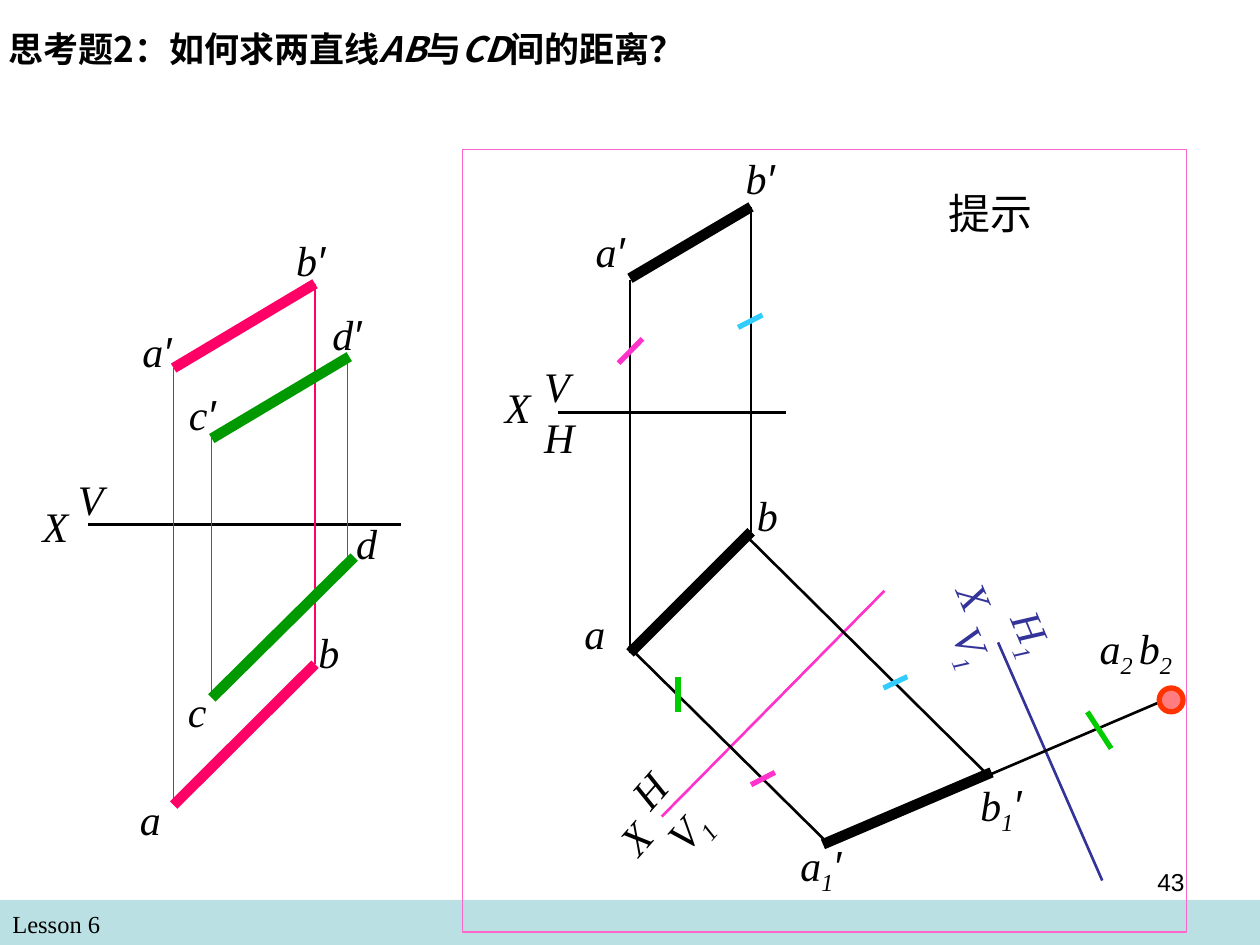
import itertools

import lxml.etree
import pptx
import pptx.dml.color
import pptx.enum.shapes
import pptx.enum.text
import pptx.oxml.ns
import pptx.util

Cm = pptx.util.Cm
Pt = pptx.util.Pt
qn = pptx.oxml.ns.qn
SHAPE = pptx.enum.shapes.MSO_SHAPE

COLORS = {
    "black": "000000", "band": "BBE0E3", "red": "FF0066", "green": "009900",
    "navy": "333399", "magenta": "FF33CC", "cyan": "33CCFF", "lime": "00CC00",
    "frame": "FF66CC", "dot": "FF7C80", "dot_edge": "FF3300",
}
SERIF, SANS, CJK = "Times New Roman", "Arial", "Noto Sans CJK SC"
THIN, MEDIUM, TICK, THICK = 0.75, 1.5, 3, 6


def rgb(name):
    return pptx.dml.color.RGBColor.from_string(COLORS[name])


def glyph_kind(ch):
    """Tell subscripts and primes from letters in a point label."""
    return "sub" if ch in "12 " else "prime" if ch == "′" else "letter"


class Drawing:
    """Holds the slide and the shape tree that elements are added to; lengths in cm."""

    def __init__(self, slide):
        self.slide = slide
        self.shapes = slide.shapes

    def start_group(self):
        self.shapes = self.slide.shapes.add_group_shape().shapes

    def end_group(self):
        self.shapes = self.slide.shapes

    def line(self, x1, y1, x2, y2, color="black", width=MEDIUM):
        c = self.shapes.add_connector(pptx.enum.shapes.MSO_CONNECTOR.STRAIGHT,
                                      Cm(x1), Cm(y1), Cm(x2), Cm(y2))
        c.line.color.rgb = rgb(color)
        c.line.width = Pt(width)
        lxml.etree.SubElement(c._element.spPr, qn("a:effectLst"))

    def shape(self, kind, x, y, w, h, fill=None, line=None, width=THIN):
        sp = self.shapes.add_shape(kind, Cm(x), Cm(y), Cm(w), Cm(h))
        sp.shadow.inherit = False
        if fill:
            sp.fill.solid()
            sp.fill.fore_color.rgb = rgb(fill)
        else:
            sp.fill.background()
        if line:
            sp.line.color.rgb = rgb(line)
            sp.line.width = Pt(width)
        else:
            sp.line.fill.background()

    def text(self, runs, x, y, w, h, size, font=SERIF, color="black", rotation=0):
        """Add a one-paragraph box from strings and return the paragraph."""
        sp = self.shapes.add_textbox(Cm(x), Cm(y), Cm(w), Cm(h))
        sp.rotation = rotation
        tf = sp.text_frame
        tf.word_wrap = True
        p = tf.paragraphs[0]
        p.font.size = Pt(size)
        p.font.color.rgb = rgb(color)
        p.font.name = font
        lxml.etree.SubElement(p.font._element, qn("a:ea")).set("typeface", CJK)
        for words in runs:
            p.add_run().text = words
        return p

    def label(self, name, x, y, w, color="black", rotation=0):
        """Add an italic point or plane name; digits become subscripts."""
        parts = [(kind, "".join(chars))
                 for kind, chars in itertools.groupby(name, glyph_kind)]
        kinds = [kind for kind, _ in parts]
        h = 1.42 if "sub" in kinds else 1.27
        p = self.text([words for _, words in parts], x, y, w, h, 24,
                      color=color, rotation=rotation)
        p.font.italic = True
        for kind, r in zip(kinds, p.runs):
            if kind == "prime":
                r.font.name = SANS
            elif kind == "sub":
                r.font._element.set("baseline", "-25000")


def draw_problem(d):
    d.start_group()
    d.line(1.78, 10.57, 8.08, 10.57)
    for color, segments in {
        "red": [(3.5, 7.42, 3.5, 16.23, THIN), (6.35, 13.39, 6.35, 5.72, THIN),
                (3.5, 7.42, 6.35, 5.72, THICK), (3.5, 16.23, 6.35, 13.39, THICK)],
        "green": [(4.27, 13.97, 4.27, 8.76, THIN), (7.01, 7.19, 7.01, 11.23, THIN),
                  (4.27, 8.84, 7.04, 7.19, THICK), (4.27, 14.07, 7.14, 11.23, THICK)],
    }.items():
        for x1, y1, x2, y2, width in segments:
            d.line(x1, y1, x2, y2, color, width)
    for name, x, y, w in [
        ("a′", 2.62, 6.43, 2.39), ("b′", 5.72, 4.6, 2.39),
        ("c′", 3.56, 7.7, 2.39), ("d′", 6.45, 6.1, 2.39),
        ("a", 2.57, 15.88, 2.72), ("b", 6.17, 12.5, 1.7),
        ("c", 3.54, 13.69, 2.5), ("d", 6.93, 10.31, 1.7),
        ("X", 0.61, 9.96, 2.01),
    ]:
        d.label(name, x, y, w)
    d.end_group()
    d.label("V", 1.32, 9.42, 1.42)


def draw_hint(d):
    d.start_group()
    # Projection axes
    d.line(11.25, 8.31, 15.85, 8.31)
    d.line(13.34, 16.46, 17.83, 11.91, "magenta")
    d.line(20.12, 12.95, 22.22, 17.75, "navy")
    # Projectors
    d.line(12.7, 5.64, 12.7, 13.16)
    d.line(15.14, 10.72, 15.14, 4.17, width=THIN)
    d.line(12.67, 13.03, 16.66, 16.97)
    d.line(15.09, 10.85, 19.89, 15.6)
    d.line(19.99, 15.6, 23.62, 14.05)
    # Views of AB
    d.line(12.7, 5.61, 15.14, 4.17, width=THICK)
    d.line(12.7, 13.16, 15.14, 10.72, width=THICK)
    d.line(19.99, 15.57, 16.59, 17.02, width=THICK)
    d.shape(SHAPE.OVAL, 23.37, 13.87, 0.48, 0.48, "dot", "dot_edge", TICK)
    # Equal-distance ticks
    for color, *ends in [
        ("magenta", 15.62, 15.57, 15.14, 15.82), ("magenta", 12.95, 6.83, 12.47, 7.32),
        ("cyan", 14.88, 6.6, 15.37, 6.35), ("cyan", 17.81, 13.87, 18.29, 13.64),
        ("lime", 13.67, 13.64, 13.67, 14.35), ("lime", 21.92, 14.35, 22.4, 15.09),
    ]:
        d.line(*ends, color, TICK)
    for color, rotation, labels in [
        ("black", 0, [
            ("a′", 11.76, 4.42, 2.03), ("b′", 14.78, 2.95, 2.03),
            ("a", 11.53, 12.12, 2.31), ("b", 15.01, 9.75, 2.31),
            ("X", 9.93, 7.57, 1.7), ("V", 10.72, 7.14, 1.22),
            ("H", 10.72, 8.18, 1.45), ("a2 b2", 21.92, 12.42, 3.4)]),
        ("black", 359.4, [("a1′", 15.88, 16.79, 2.44), ("b1′", 19.51, 15.57, 2.41)]),
        ("black", 311.3, [("X", 12.17, 16, 1.7), ("H", 12.45, 15.14, 1.5),
                          ("V1", 13.08, 15.65, 2.36)]),
        ("navy", 67.1, [("X", 18.95, 11.71, 1.7), ("H1", 19.91, 12.34, 1.93),
                        ("V1", 18.64, 12.78, 2.21)]),
    ]:
        for name, x, y, w in labels:
            d.label(name, x, y, w, color, rotation)
    d.shape(SHAPE.RECTANGLE, 9.32, 3.02, 14.6, 15.77, line="frame")
    d.end_group()
    d.text(["提示"], 18.87, 3.66, 2.44, 1.27, 24)


def main():
    prs = pptx.Presentation()
    prs.slide_width, prs.slide_height = Cm(25.4), Cm(19.05)
    d = Drawing(prs.slides.add_slide(prs.slide_layouts[6]))

    d.shape(SHAPE.RECTANGLE, 0, 18.14, 25.4, 0.91, "band")
    d.text(["Lesson 6"], 0, 18.21, 12.27, 0.86, 14)
    draw_problem(d)
    draw_hint(d)

    title = d.text(["思考题2：如何求两直线", "AB", "与", "CD", "间的距离？"],
                   -0.08, 0.43, 14.6, 1.12, 20, CJK)
    title.font.bold = True
    for r in title.runs[1::2]:
        r.font.italic = True
    number = d.text(["43"], 18.21, 17.35, 5.92, 1.32, 14, SANS)
    number.alignment = pptx.enum.text.PP_ALIGN.RIGHT

    prs.save("out.pptx")


if __name__ == "__main__":
    main()
